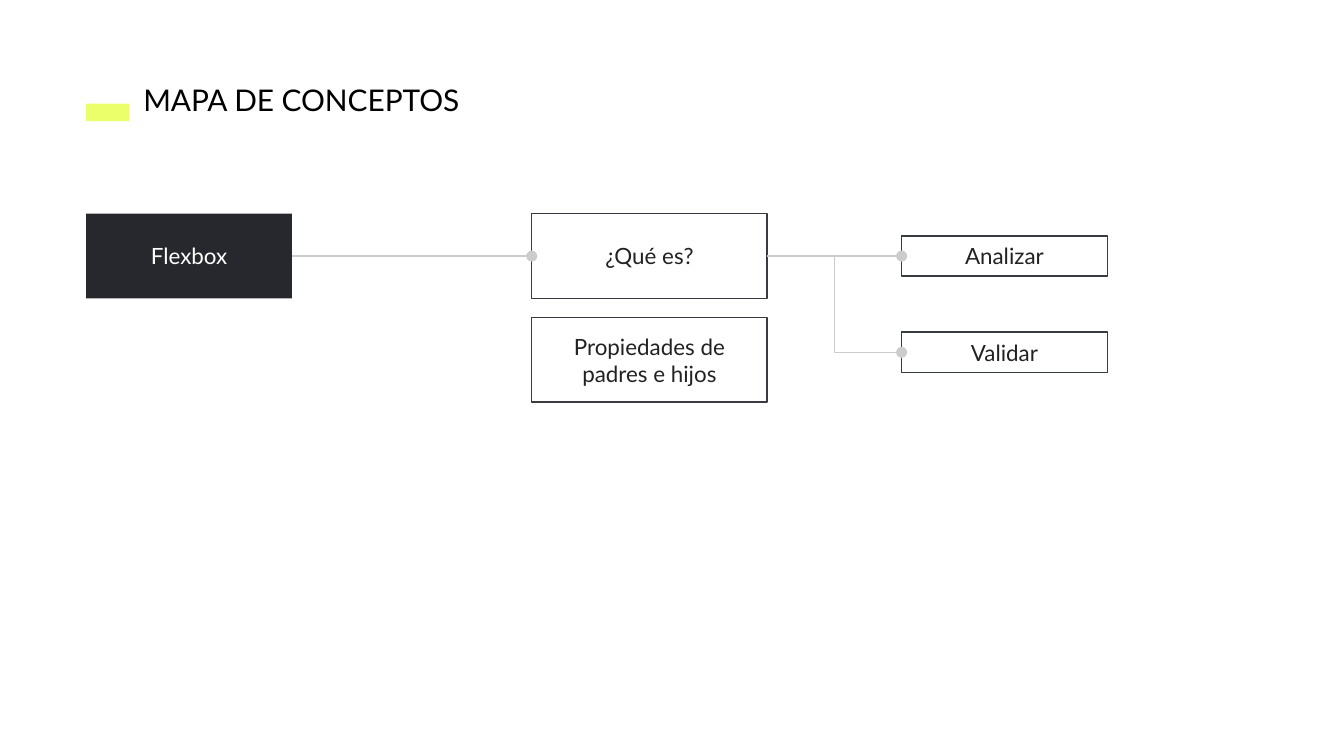
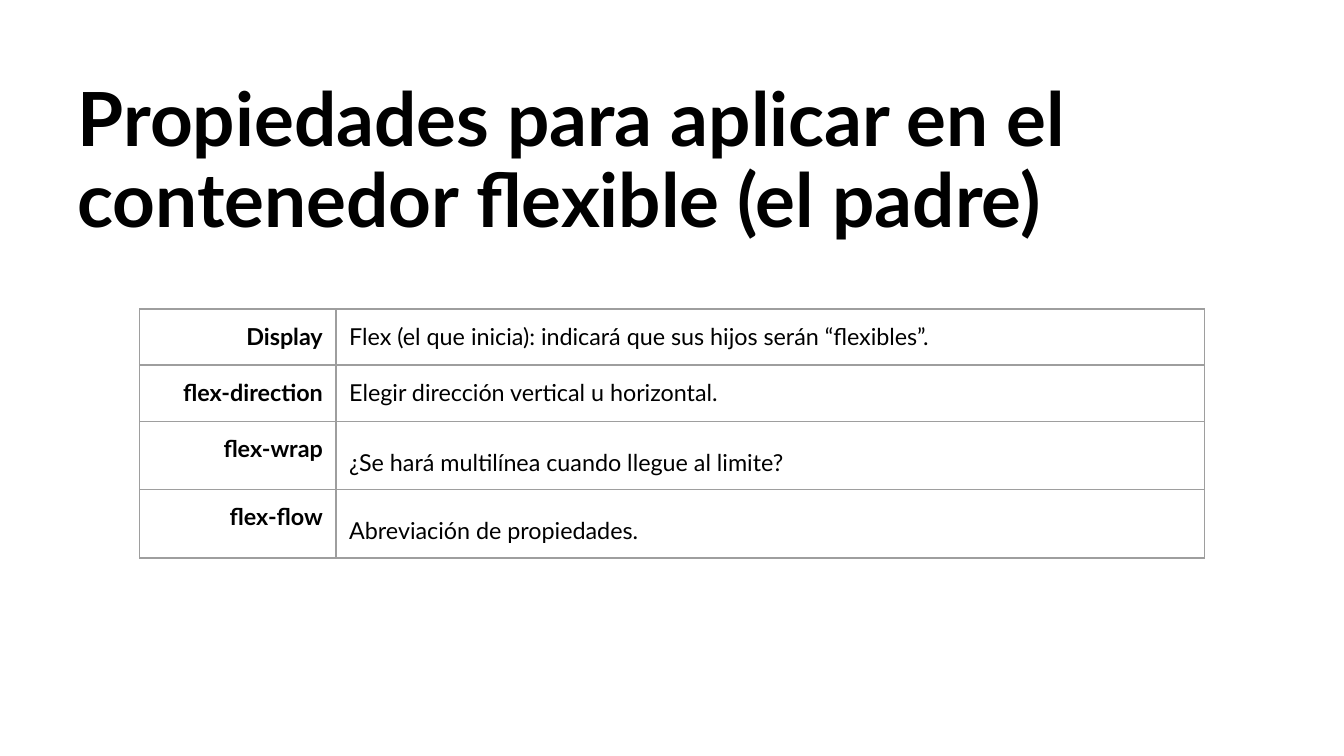
from lxml.etree import SubElement
from pptx import Presentation
from pptx.dml.color import RGBColor
from pptx.enum.shapes import MSO_CONNECTOR, MSO_SHAPE
from pptx.enum.text import MSO_ANCHOR, MSO_AUTO_SIZE, PP_ALIGN
from pptx.oxml.ns import qn
from pptx.util import Cm, Pt

COLORS = {
    "accent": "EAFF6A",
    "dark": "27282D",
    "outline": "393B43",
    "label": "222222",
    "link": "CCCCCC",
    "grid": "9E9E9E",
    "black": "000000",
    "white": "FFFFFF",
}
FONT = "Lato"
INSET = Cm(0.25)
LINE = Pt(0.75)
LEFT_SITE, RIGHT_SITE = 1, 3


def rgb(name):
    return RGBColor.from_string(COLORS[name])


class Deck:
    def __init__(self):
        self.prs = Presentation()
        self.prs.slide_width, self.prs.slide_height = Cm(25.4), Cm(14.29)
        self.s = None

    def new_slide(self):
        self.s = self.prs.slides.add_slide(self.prs.slide_layouts[6])

    def add_text(self, tf, text, size, color="black", bold=False,
                 align=PP_ALIGN.LEFT, spacing=None):
        p = tf.paragraphs[0]
        p.alignment = align
        if spacing:
            p.line_spacing = spacing
        r = p.add_run()
        r.text = text
        r.font.name, r.font.size, r.font.bold = FONT, Pt(size), bold
        r.font.color.rgb = rgb(color)

    def inset(self, holder):
        """Set equal margins on a text frame or a table cell."""
        holder.margin_left = holder.margin_right = INSET
        holder.margin_top = holder.margin_bottom = INSET

    def title(self, x, y, w, h, text, size, bold=False, spacing=None):
        tf = self.s.shapes.add_textbox(Cm(x), Cm(y), Cm(w), Cm(h)).text_frame
        tf.word_wrap = True
        tf.auto_size = MSO_AUTO_SIZE.SHAPE_TO_FIT_TEXT
        self.inset(tf)
        self.add_text(tf, text, size, bold=bold, spacing=spacing)

    def box(self, x, y, w, h, text="", fill=None, line=None, color="label"):
        sp = self.s.shapes.add_shape(MSO_SHAPE.RECTANGLE, Cm(x), Cm(y), Cm(w), Cm(h))
        sp.shadow.inherit = False
        if fill:
            sp.fill.solid()
            sp.fill.fore_color.rgb = rgb(fill)
        else:
            sp.fill.background()
        if line:
            sp.line.color.rgb = rgb(line)
            sp.line.width = LINE
        else:
            sp.line.fill.background()
        if text:
            tf = sp.text_frame
            tf.word_wrap = True
            tf.vertical_anchor = MSO_ANCHOR.MIDDLE
            self.inset(tf)
            self.add_text(tf, text, 12, color, align=PP_ALIGN.CENTER)
        return sp

    def link(self, start, end, kind=MSO_CONNECTOR.ELBOW):
        """Join the right side of one box to the left side of another."""
        cx = self.s.shapes.add_connector(kind, 0, 0, 0, 0)
        cx.begin_connect(start, RIGHT_SITE)
        cx.end_connect(end, LEFT_SITE)
        cx.line.color.rgb = rgb("link")
        cx.line.width = LINE
        spPr = cx._element.spPr
        SubElement(spPr.find(qn("a:ln")), qn("a:tailEnd"), type="oval")
        SubElement(spPr, qn("a:effectLst"))

    def borders(self, cell):
        tcPr = cell._tc.get_or_add_tcPr()
        for side in ("lnL", "lnR", "lnT", "lnB"):
            ln = SubElement(tcPr, qn(f"a:{side}"), w=str(int(LINE)))
            fill = SubElement(ln, qn("a:solidFill"))
            SubElement(fill, qn("a:srgbClr"), val=COLORS["grid"])

    def table(self, x, y, widths, row_height, rows):
        """Draw rows of (property, meaning, line spacing of the meaning)."""
        table = self.s.shapes.add_table(
            len(rows), len(widths), Cm(x), Cm(y),
            Cm(sum(widths)), Cm(row_height * len(rows))).table
        table.first_row = table.horz_banding = False
        for column, width in zip(table.columns, widths):
            column.width = Cm(width)
        for i, (name, meaning, spacing) in enumerate(rows):
            table.rows[i].height = Cm(row_height)
            name_cell, meaning_cell = table.cell(i, 0), table.cell(i, 1)
            for cell in (name_cell, meaning_cell):
                self.inset(cell)
                self.borders(cell)
                cell.fill.background()
            self.add_text(name_cell.text_frame, name, 12.5, bold=True, align=PP_ALIGN.RIGHT)
            self.add_text(meaning_cell.text_frame, meaning, 12.5, spacing=spacing)


def concept_map(deck):
    deck.new_slide()
    left, middle, right = 1.63, 10.05, 17.04
    top, height, low = 4.04, 1.6, 0.76
    action_top = top + (height - low) / 2

    deck.box(left, 1.96, 0.81, 0.33, fill="accent")
    deck.title(2.46, 1.3, 6.83, 1.19, "MAPA DE CONCEPTOS", 16)

    what = deck.box(middle, top, 4.45, height, "¿Qué es?", line="outline")
    topic = deck.box(left, top, 3.89, height, "Flexbox", fill="dark", color="white")
    analyse, validate = [
        deck.box(right, action_top + i * 1.82, 3.89, low, text, "white", "outline")
        for i, text in enumerate(("Analizar", "Validar"))]
    deck.box(middle, top + 1.96, 4.45, height, "Propiedades de padres e hijos", line="outline")

    deck.link(topic, what)
    deck.link(what, analyse, MSO_CONNECTOR.STRAIGHT)
    deck.link(what, validate)


def container_properties(deck):
    deck.new_slide()
    deck.title(1.22, 1.3, 22.6, 3.58,
               "Propiedades para aplicar en el contenedor flexible (el padre)",
               40, bold=True, spacing=0.9)
    deck.table(2.64, 5.84, (3.71, 16.41), 1.06, [
        ("Display", "Flex (el que inicia): indicará que sus hijos serán “flexibles”.", None),
        ("flex-direction", "Elegir dirección vertical u horizontal.", None),
        ("flex-wrap", "¿Se hará multilínea cuando llegue al limite?", 1.5),
        ("flex-flow", "Abreviación de propiedades.", 1.5),
    ])


def main():
    deck = Deck()
    concept_map(deck)
    container_properties(deck)
    deck.prs.save("out.pptx")


if __name__ == "__main__":
    main()
